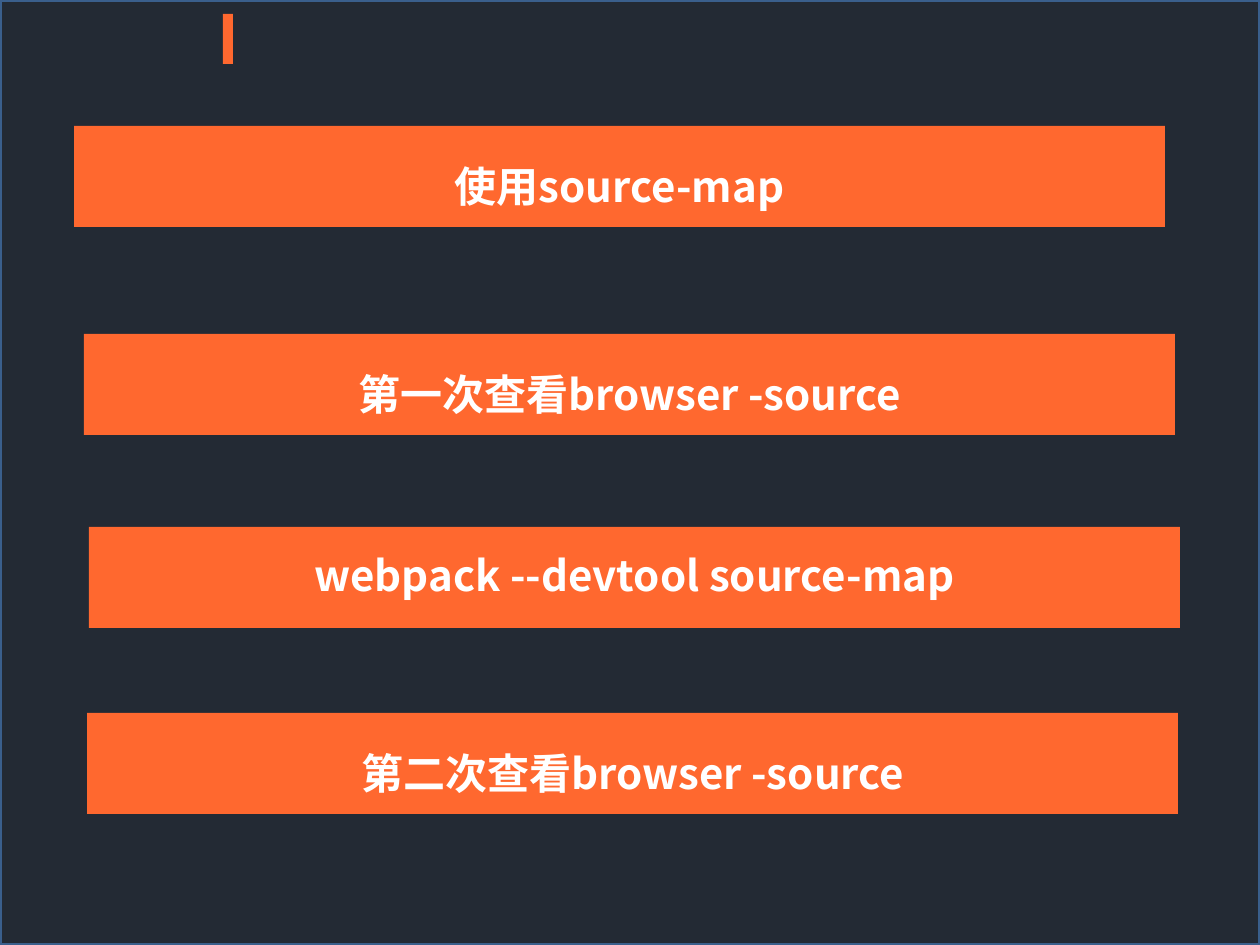
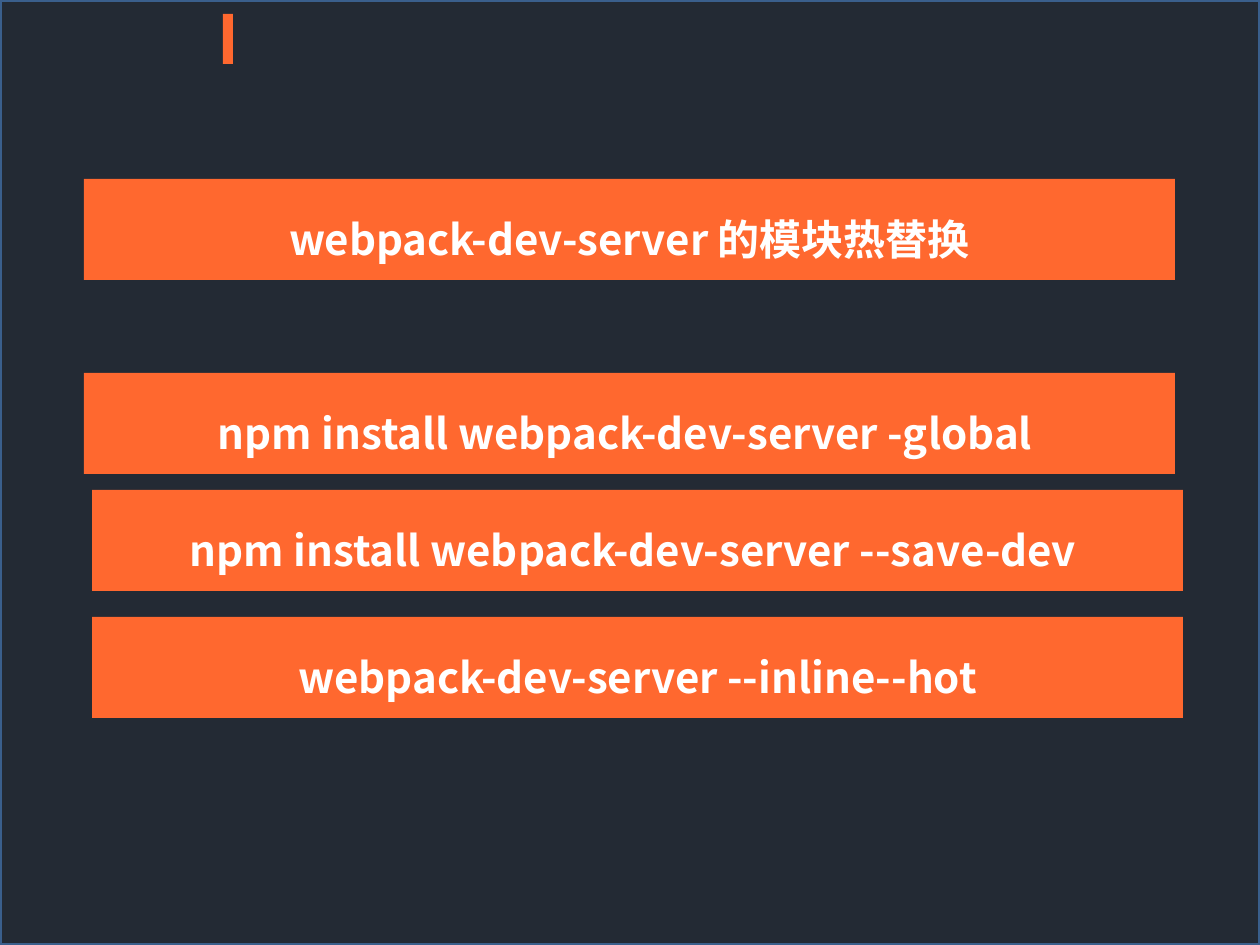
from lxml.etree import SubElement
from pptx import Presentation
from pptx.dml.color import RGBColor
from pptx.enum.shapes import MSO_SHAPE
from pptx.enum.text import MSO_ANCHOR, PP_ALIGN
from pptx.oxml.ns import qn
from pptx.util import Emu, Pt

PX_PER_INCH = 126
PAGE_WIDTH, PAGE_HEIGHT = 1260, 945
BAR_WIDTH, BAR_HEIGHT = 1091, 101
FONT = "Noto Sans CJK SC"
COLORS = {"ground": "232A34", "frame": "3A5F8C", "accent": "FF682F", "text": "FFFFFF"}

# Each bar: left, top, line spacing, text
PAGES = [
    [
        (74, 126, 1.5, "使用source-map"),
        (84, 334, 1.5, "第一次查看browser -source"),
        (89, 527, 1.0, "webpack --devtool source-map"),
        (87, 713, 1.5, "第二次查看browser -source"),
    ],
    [
        (84, 179, 1.5, "webpack-dev-server 的模块热替换"),
        (84, 373, 1.5, "npm install webpack-dev-server -global "),
        (92, 490, 1.5, "npm install webpack-dev-server --save-dev "),
        (92, 617, 1.5, "webpack-dev-server --inline--hot"),
    ],
]


def px(count):
    """Turn pixels into EMU."""
    return Emu(round(count * 914400 / PX_PER_INCH))


def add_box(page, left, top, width, height, color):
    """Add a flat rectangle without an outline."""
    box = page.shapes.add_shape(
        MSO_SHAPE.RECTANGLE, px(left), px(top), px(width), px(height))
    box.shadow.inherit = False
    box.fill.solid()
    box.fill.fore_color.rgb = RGBColor.from_string(COLORS[color])
    box.line.fill.background()
    return box


deck = Presentation()
deck.slide_width, deck.slide_height = px(PAGE_WIDTH), px(PAGE_HEIGHT)

for bars in PAGES:
    page = deck.slides.add_slide(deck.slide_layouts[6])

    ground = add_box(page, 0, 0, PAGE_WIDTH, PAGE_HEIGHT, "ground")
    ground.line.color.rgb = RGBColor.from_string(COLORS["frame"])
    ground.line.width = Pt(2)
    add_box(page, 223, 14, 10, 50, "accent")

    for left, top, spacing, text in bars:
        bar = add_box(page, left, top, BAR_WIDTH, BAR_HEIGHT, "accent")
        frame = bar.text_frame
        frame.word_wrap = True
        frame.vertical_anchor = MSO_ANCHOR.MIDDLE
        frame.margin_left = frame.margin_right = px(13)
        frame.margin_top, frame.margin_bottom = px(0), px(6)
        frame.text = text

        para = frame.paragraphs[0]
        para.alignment = PP_ALIGN.CENTER
        para.line_spacing = spacing
        span = para.runs[0]
        span.font.name = FONT
        span.font.size = Pt(24)
        span.font.bold = True
        span.font.color.rgb = RGBColor.from_string(COLORS["text"])
        SubElement(span.font._element, qn("a:ea"), typeface=FONT)

deck.save("out.pptx")
